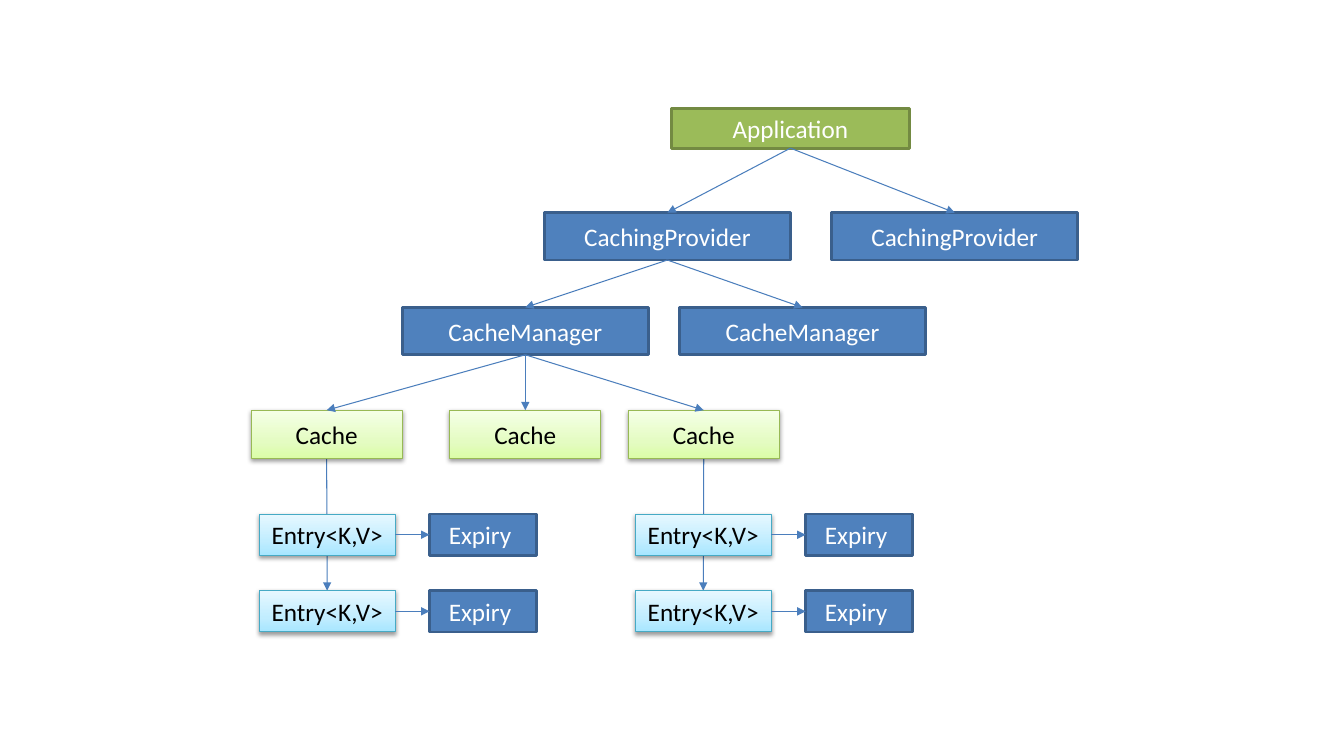
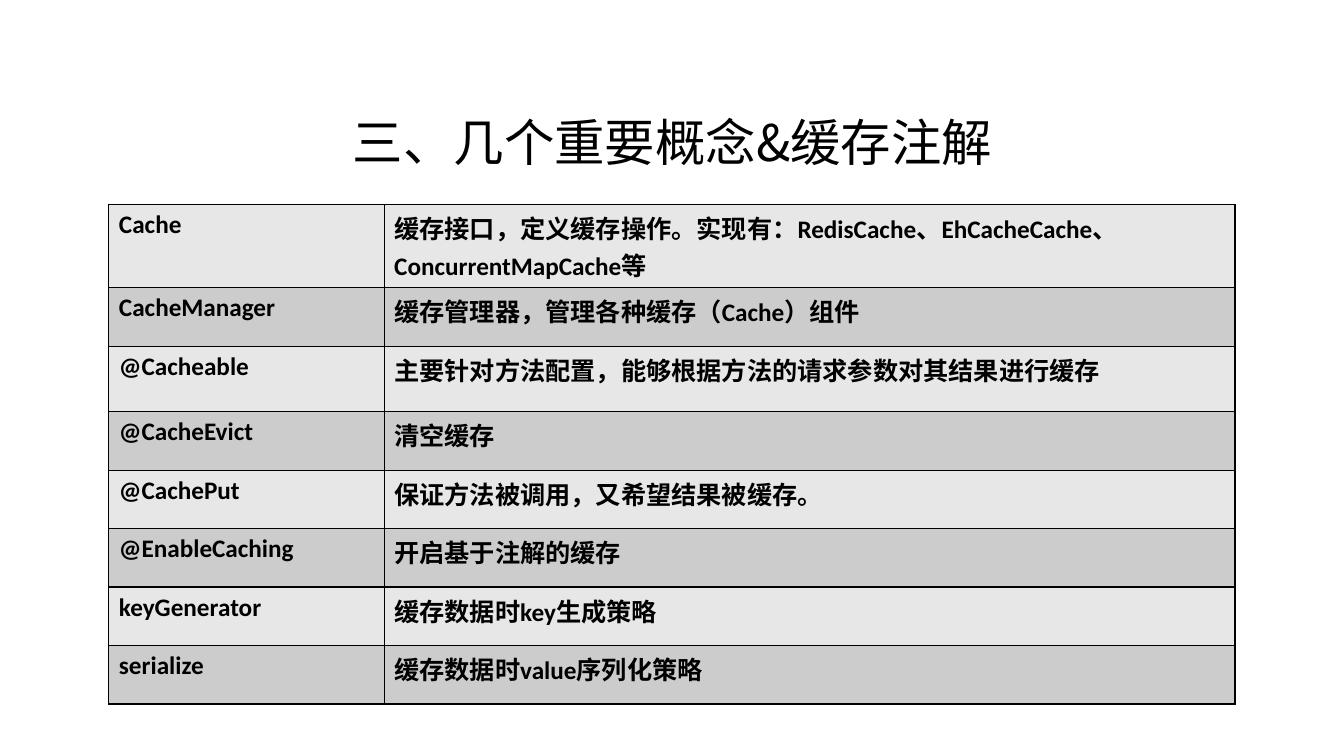
from dataclasses import dataclass
from typing import Any

from lxml.etree import SubElement
from pptx import Presentation
from pptx.dml.color import RGBColor
from pptx.enum.shapes import MSO_CONNECTOR, MSO_SHAPE
from pptx.enum.text import MSO_ANCHOR, PP_ALIGN
from pptx.oxml.ns import qn
from pptx.util import Inches, Pt

LATIN_FONT = "Calibri"
CHINESE_FONT = "Noto Sans CJK SC"
BLACK, WHITE = "000000", "FFFFFF"
LINK_COLOR = "4B7EBC"
ROW_COLORS = ("E7E7E7", "CCCCCC")
TOP, LEFT, BOTTOM, RIGHT = range(4)
BODY_FORMAT = {"name": LATIN_FONT, "size": Pt(18), "bold": False}
TABLE_FORMAT = {**BODY_FORMAT, "bold": True}
TITLE_FORMAT = {"name": CHINESE_FONT, "size": Pt(36), "bold": False}


@dataclass(frozen=True)
class Kind:
    text: str
    width: float
    height: float
    fills: tuple[str, ...]
    outline: str
    outline_width: float = 2
    text_color: str = WHITE


@dataclass(frozen=True)
class Box:
    key: str
    kind: Kind
    left: float
    top: float


@dataclass(frozen=True)
class Link:
    start: str
    end: str
    start_side: int = BOTTOM
    end_side: int = TOP
    behind: bool = False


BLUE = (("4F81BD",), "3A5F8C")
GREEN_GRADIENT = ("DAFDA7", "E4FCC2", "F5FFE7")
CYAN_GRADIENT = ("A7E6FF", "C1EDFF", "E7F8FF")
GRADIENT_POSITIONS = (0, 35, 100)
APPLICATION = Kind("Application", 2.36, 0.39, ("9BBB59",), "738A42")
PROVIDER = Kind("CachingProvider", 2.44, 0.47, *BLUE)
MANAGER = Kind("CacheManager", 2.44, 0.47, *BLUE)
CACHE = Kind("Cache", 1.5, 0.48, GREEN_GRADIENT, "98B955", 0.75, BLACK)
ENTRY = Kind("Entry<K,V>", 1.35, 0.41, CYAN_GRADIENT, "46AAC5", 0.75, BLACK)
EXPIRY = Kind("Expiry ", 1.06, 0.41, *BLUE)

TREE_BOXES = [
    Box("application", APPLICATION, 6.66, 1.08),
    Box("provider 1", PROVIDER, 5.4, 2.11),
    Box("provider 2", PROVIDER, 8.25, 2.11),
    Box("manager 1", MANAGER, 3.99, 3.05),
    Box("manager 2", MANAGER, 6.74, 3.05),
    Box("cache 1", CACHE, 2.49, 4.07),
    Box("cache 2", CACHE, 4.46, 4.07),
    Box("cache 3", CACHE, 6.23, 4.07),
]
TREE_LINKS = [
    Link("application", "provider 1"),
    Link("application", "provider 2"),
    Link("provider 1", "manager 1"),
    Link("provider 1", "manager 2"),
    Link("manager 1", "cache 1"),
    Link("manager 1", "cache 2"),
    Link("manager 1", "cache 3"),
]
ENTRY_LEFTS = {"cache 1": 2.57, "cache 3": 6.3}
ENTRY_TOPS = (5.1, 5.86)
EXPIRY_OFFSET = 1.69

TITLE = "三、几个重要概念&缓存注解"
COLUMN_WIDTHS = (2.73, 8.44)
ROW_HEIGHTS = (0.74, 0.58, 0.65) + (0.58,) * 5
CONCEPTS = [
    ("Cache", "缓存接口，定义缓存操作。实现有：RedisCache、EhCacheCache、ConcurrentMapCache等"),
    ("CacheManager", "缓存管理器，管理各种缓存（Cache）组件"),
    ("@Cacheable", "主要针对方法配置，能够根据方法的请求参数对其结果进行缓存"),
    ("@CacheEvict", "清空缓存"),
    ("@CachePut", "保证方法被调用，又希望结果被缓存。"),
    ("@EnableCaching", "开启基于注解的缓存"),
    ("keyGenerator", "缓存数据时key生成策略"),
    ("serialize", "缓存数据时value序列化策略"),
]


def rgb(color: str) -> RGBColor:
    return RGBColor.from_string(color)


def apply_format(target: Any, values: dict[str, Any]) -> None:
    for name, value in values.items():
        setattr(target, name, value)


def add_color(parent: Any, color: str) -> Any:
    return SubElement(parent, qn("a:srgbClr"), val=color)


def write_text(paragraph: Any, text: str, values: dict[str, Any], color: str) -> None:
    run = paragraph.add_run()
    run.text = text
    apply_format(run.font, values)
    run.font.color.rgb = rgb(color)
    SubElement(run._r.get_or_add_rPr(), qn("a:ea"), typeface=CHINESE_FONT)


def fill_solid(fill: Any, color: str) -> None:
    fill.solid()
    fill.fore_color.rgb = rgb(color)


def fill_gradient(shape: Any, colors: tuple[str, ...]) -> None:
    shape.fill.gradient()
    shape.fill.gradient_angle = 90
    stops = shape.element.spPr.find(qn("a:gradFill")).find(qn("a:gsLst"))
    for stop in list(stops):
        stops.remove(stop)
    for position, color in zip(GRADIENT_POSITIONS, colors):
        add_color(SubElement(stops, qn("a:gs"), pos=str(position * 1000)), color)


def add_soft_shadow(shape: Any) -> None:
    effects = shape.element.spPr.find(qn("a:effectLst"))
    shadow = SubElement(effects, qn("a:outerShdw"), blurRad="40000", dist="20000",
                        dir="5400000", rotWithShape="0")
    SubElement(add_color(shadow, BLACK), qn("a:alpha"), val="38000")


def draw_box(slide: Any, box: Box) -> Any:
    kind = box.kind
    position = [Inches(value) for value in (box.left, box.top, kind.width, kind.height)]
    shape = slide.shapes.add_shape(MSO_SHAPE.RECTANGLE, *position)
    shape.shadow.inherit = False
    shape.line.color.rgb = rgb(kind.outline)
    shape.line.width = Pt(kind.outline_width)
    if len(kind.fills) == 1:
        fill_solid(shape.fill, kind.fills[0])
    else:
        fill_gradient(shape, kind.fills)
        add_soft_shadow(shape)
    shape.text_frame.vertical_anchor = MSO_ANCHOR.MIDDLE
    paragraph = shape.text_frame.paragraphs[0]
    paragraph.alignment = PP_ALIGN.CENTER
    write_text(paragraph, kind.text, BODY_FORMAT, kind.text_color)
    return shape


def draw_link(slide: Any, link: Link, shapes: dict[str, Any]) -> None:
    connector = slide.shapes.add_connector(MSO_CONNECTOR.STRAIGHT, *[Inches(0)] * 4)
    connector.begin_connect(shapes[link.start], link.start_side)
    connector.end_connect(shapes[link.end], link.end_side)
    connector.line.color.rgb = rgb(LINK_COLOR)
    connector.line.width = Pt(0.75)
    properties = connector.element.spPr
    SubElement(properties.find(qn("a:ln")), qn("a:tailEnd"), type="triangle")
    SubElement(properties, qn("a:effectLst"))
    if link.behind:
        connector.element.getparent().insert(2, connector.element)


def build_architecture(presentation: Any) -> None:
    slide = presentation.slides.add_slide(presentation.slide_layouts[6])
    boxes, links = list(TREE_BOXES), list(TREE_LINKS)
    for cache, left in ENTRY_LEFTS.items():
        for number, top in enumerate(ENTRY_TOPS, 1):
            entry, expiry = f"{cache} entry {number}", f"{cache} expiry {number}"
            boxes += [Box(entry, ENTRY, left, top),
                      Box(expiry, EXPIRY, left + EXPIRY_OFFSET, top)]
            links.append(Link(entry, expiry, RIGHT, LEFT))
        links.append(Link(cache, f"{cache} entry {len(ENTRY_TOPS)}", behind=True))
    shapes = {box.key: draw_box(slide, box) for box in boxes}
    for link in links:
        draw_link(slide, link, shapes)


def format_cell(cell: Any, text: str, color: str) -> None:
    properties = cell._tc.get_or_add_tcPr()
    for side in ("lnL", "lnR", "lnT", "lnB"):
        border = SubElement(properties, qn(f"a:{side}"), w=str(Pt(1)))
        add_color(SubElement(border, qn("a:solidFill")), BLACK)
    fill_solid(cell.fill, color)
    write_text(cell.text_frame.paragraphs[0], text, TABLE_FORMAT, BLACK)


def build_concepts(presentation: Any) -> None:
    slide = presentation.slides.add_slide(presentation.slide_layouts[5])
    title = slide.shapes.title
    apply_format(title, {"left": Inches(0.67), "top": Inches(0.78),
                         "width": Inches(12), "height": Inches(1.25)})
    title.text_frame.vertical_anchor = MSO_ANCHOR.MIDDLE
    paragraph = title.text_frame.paragraphs[0]
    paragraph.alignment = PP_ALIGN.CENTER
    write_text(paragraph, TITLE, TITLE_FORMAT, BLACK)

    table = slide.shapes.add_table(
        len(CONCEPTS), len(COLUMN_WIDTHS), Inches(1.08), Inches(2.03),
        Inches(sum(COLUMN_WIDTHS)), Inches(sum(ROW_HEIGHTS))).table
    apply_format(table, {"first_row": False, "horz_banding": False})
    for column, width in zip(table.columns, COLUMN_WIDTHS):
        column.width = Inches(width)
    for index, (row, height, texts) in enumerate(zip(table.rows, ROW_HEIGHTS, CONCEPTS)):
        row.height = Inches(height)
        for cell, text in zip(row.cells, texts):
            format_cell(cell, text, ROW_COLORS[index % 2])


def main() -> None:
    presentation = Presentation()
    apply_format(presentation, {"slide_width": Inches(13.33), "slide_height": Inches(7.5)})
    build_architecture(presentation)
    build_concepts(presentation)
    presentation.save("out.pptx")


if __name__ == "__main__":
    main()
